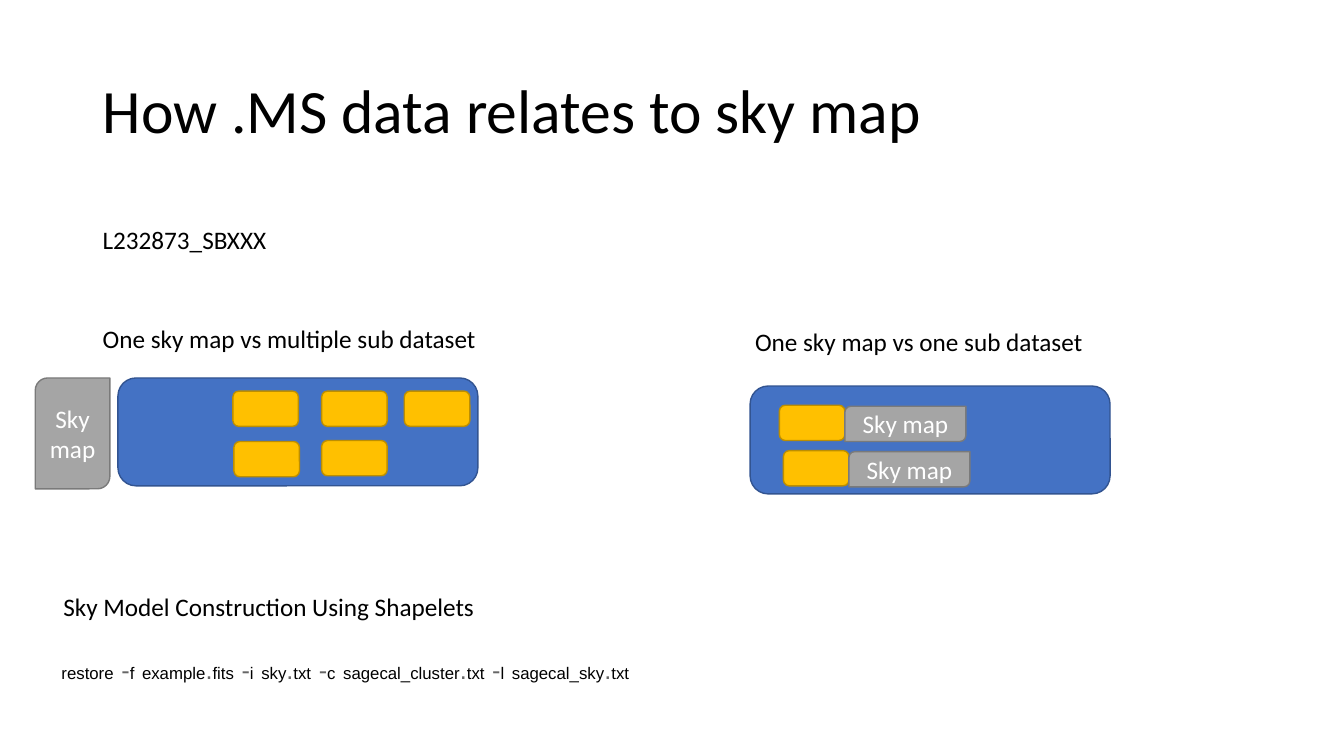
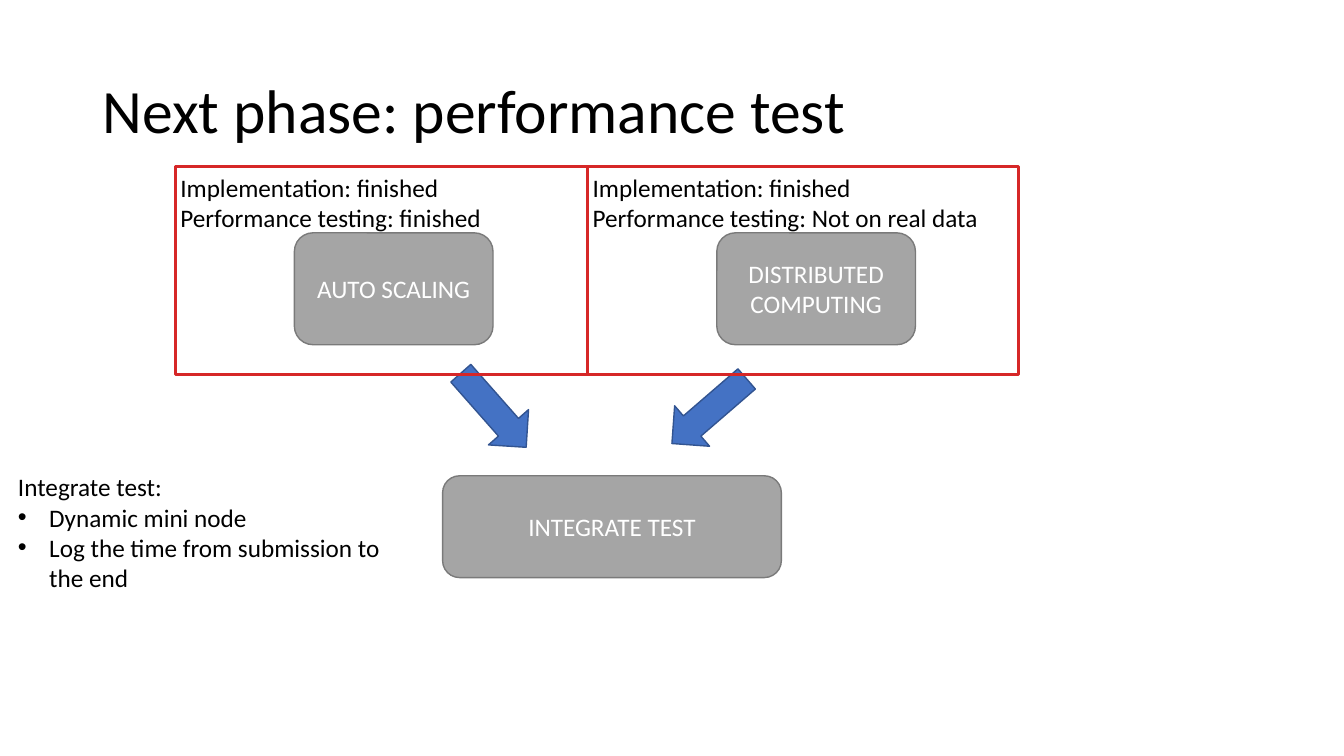
from itertools import groupby

from lxml import etree
from pptx import Presentation
from pptx.dml.color import RGBColor
from pptx.enum.shapes import MSO_SHAPE
from pptx.enum.text import MSO_ANCHOR, MSO_AUTO_SIZE, PP_ALIGN
from pptx.oxml.ns import qn
from pptx.util import Inches, Pt

ROUNDED = MSO_SHAPE.ROUNDED_RECTANGLE
DIAGONAL = MSO_SHAPE.ROUND_2_DIAG_RECTANGLE
PROCESS = MSO_SHAPE.FLOWCHART_ALTERNATE_PROCESS
ARROW = MSO_SHAPE.DOWN_ARROW
RECTANGLE = MSO_SHAPE.RECTANGLE
MIDDLE = MSO_ANCHOR.MIDDLE
TOP = MSO_ANCHOR.TOP
CENTER = PP_ALIGN.CENTER
FIT_TEXT = MSO_AUTO_SIZE.SHAPE_TO_FIT_TEXT

BLACK = RGBColor(0x00, 0x00, 0x00)
WHITE = RGBColor(0xFF, 0xFF, 0xFF)
DARK_GRAY = RGBColor(0x40, 0x40, 0x40)
MID_GRAY = RGBColor(0x66, 0x66, 0x66)
RED = RGBColor(0xD6, 0x27, 0x28)

# Fill and outline pairs
BLUE = (RGBColor(0x44, 0x72, 0xC4), RGBColor(0x32, 0x54, 0x91))
GOLD = (RGBColor(0xFF, 0xC0, 0x00), RGBColor(0xBD, 0x8E, 0x00))
GRAY = (RGBColor(0xA5, 0xA5, 0xA5), RGBColor(0x7A, 0x7A, 0x7A))
RED_FRAME = (None, RED)

BODY_FONT = "Calibri"
BODY_SIZE = 18
TITLE_SIZE = 44
TITLE_AREA = (0.92, 0.4, 11.5, 1.45)

# Command line: kind of character -> font, size, colour
COMMAND_STYLES = {
    "word": ("Arial", 12, BLACK),
    "mark": ("Arial", 18, MID_GRAY),
    "space": ("Noto Sans Mono", 9, DARK_GRAY),
}
COMMAND = "restore -f example.fits -i sky.txt -c sagecal_cluster.txt -l sagecal_sky.txt"
COMMAND_AREA = (0.61, 6.39, 12.11, 0.5)

# Slide 1
MAP_TITLE = "How .MS data relates to sky map"
MAP_LABELS = [  # text, area, wraps
    ("L232873_SBXXX", (0.92, 2.18, 1.84, 0.4), False),
    ("One sky map vs multiple sub dataset", (0.92, 3.16, 4.11, 0.4), True),
    ("One sky map vs one sub dataset", (7.39, 3.19, 3.49, 0.4), False),
    ("Sky Model Construction Using Shapelets", (0.53, 5.82, 4.46, 0.4), True),
]
SKY_MAP = "Sky map"
SHARED_MAP_AREA = (0.35, 3.75, 0.74, 1.1)
DATASET_SIZE = (3.57, 1.07)
DATASET_CORNERS = [(1.17, 3.75), (7.44, 3.83)]
SUBSET_SIZE = (0.65, 0.35)
SUBSET_CORNERS = [(4.01, 3.88), (3.19, 4.37), (3.19, 3.88), (2.32, 4.38), (2.31, 3.88)]
PAIR_CORNERS = [(7.73, 4.02), (7.77, 4.47)]
PAIR_MAP_SIZE = (1.2, 0.35)
PAIR_MAP_DROP = 0.01

# Slide 2
TEST_TITLE = "Next phase: performance test"
STEPS = [
    ("AUTO SCALING", (2.92, 2.31, 1.97, 1.11)),
    ("DISTRIBUTED COMPUTING", (7.11, 2.31, 1.97, 1.11)),
    ("INTEGRATE TEST", (4.39, 4.72, 3.36, 1.01)),
]
ARROW_SIZE = (0.53, 0.98)
ARROWS = [((4.63, 3.58), 318.6), ((6.77, 3.59), 49.2)]  # corner, rotation
FRAME_LEFT, FRAME_TOP, FRAME_HEIGHT = 1.74, 1.65, 2.07
STATUSES = [  # frame width, text width, lines
    (4.09, 3.45, ["Implementation: finished", "Performance testing: finished"]),
    (4.27, 4.27, ["Implementation: finished", "Performance testing: Not on real data"]),
]
PLAN_HEADING = "Integrate test:"
PLAN_ITEMS = ["Dynamic mini node", "Log the time from submission to the end"]
PLAN_AREA = (0.08, 4.63, 4.09, 1.31)
BULLET_INDENT = 0.31


def lengths(area):
    """Turn numbers in inches into lengths."""
    return [Inches(value) for value in area]


def style_span(span, font, size, color):
    """Set the font, size and colour of one run."""
    span.font.name = font
    span.font.size = Pt(size)
    span.font.color.rgb = color


def style_text(frame, color, size=BODY_SIZE):
    """Format every run of a text frame in the body font."""
    for para in frame.paragraphs:
        for span in para.runs:
            style_span(span, BODY_FONT, size, color)


def add_text(page, lines, area, wraps=True, size=BODY_SIZE, anchor=TOP):
    """Add a black text box with one paragraph per line."""
    box = page.shapes.add_textbox(*lengths(area))
    frame = box.text_frame
    frame.text = "\n".join(lines)
    frame.word_wrap = wraps
    frame.vertical_anchor = anchor
    if anchor == TOP:
        frame.auto_size = FIT_TEXT
    style_text(frame, BLACK, size)
    return frame


def add_block(page, kind, area, colors, text="", line_width=1):
    """Add a preset shape with fill, outline and centred white text."""
    fill, outline = colors
    block = page.shapes.add_shape(kind, *lengths(area))
    block.shadow.inherit = False
    if fill is None:
        block.fill.background()
    else:
        block.fill.solid()
        block.fill.fore_color.rgb = fill
    block.line.color.rgb = outline
    block.line.width = Pt(line_width)
    if text:
        frame = block.text_frame
        frame.text = text
        frame.word_wrap = True
        frame.vertical_anchor = MIDDLE
        frame.paragraphs[0].alignment = CENTER
        style_text(frame, WHITE)
    return block


def add_bullet(para):
    """Give a paragraph a round bullet and a hanging indent."""
    settings = para._p.get_or_add_pPr()
    indent = Inches(BULLET_INDENT)
    settings.set("marL", str(indent))
    settings.set("indent", str(-indent))
    etree.SubElement(settings, qn("a:buFont")).set("typeface", "Arial")
    etree.SubElement(settings, qn("a:buChar")).set("char", "•")


def character_kind(character):
    """Name the command style that a character takes."""
    if character == " ":
        return "space"
    return "mark" if character in "-." else "word"


def add_command(page):
    """Add the command line, with one run per kind of character."""
    frame = add_text(page, [""], COMMAND_AREA, anchor=MIDDLE)
    frame.margin_left = frame.margin_right = 0
    frame.margin_top = frame.margin_bottom = 0
    for kind, characters in groupby(COMMAND, character_kind):
        span = frame.paragraphs[0].add_run()
        span.text = "".join(characters)
        style_span(span, *COMMAND_STYLES[kind])


def add_page(deck, title):
    """Add a blank page with the shared title style."""
    page = deck.slides.add_slide(deck.slide_layouts[6])
    frame = add_text(page, [title], TITLE_AREA, size=TITLE_SIZE, anchor=MIDDLE)
    frame.paragraphs[0].line_spacing = 0.9
    return page


def build_map_page(deck):
    """Show how data sets relate to sky maps."""
    page = add_page(deck, MAP_TITLE)
    for corner in DATASET_CORNERS:
        add_block(page, ROUNDED, corner + DATASET_SIZE, BLUE)
    for corner in SUBSET_CORNERS + PAIR_CORNERS:
        add_block(page, ROUNDED, corner + SUBSET_SIZE, GOLD)
    add_block(page, DIAGONAL, SHARED_MAP_AREA, GRAY, SKY_MAP)
    for left, top in PAIR_CORNERS:
        map_corner = (left + SUBSET_SIZE[0], top + PAIR_MAP_DROP)
        add_block(page, DIAGONAL, map_corner + PAIR_MAP_SIZE, GRAY, SKY_MAP)
    for text, area, wraps in MAP_LABELS:
        add_text(page, [text], area, wraps)
    add_command(page)


def build_test_page(deck):
    """Show the steps and status of the performance test."""
    page = add_page(deck, TEST_TITLE)
    for text, area in STEPS:
        add_block(page, PROCESS, area, GRAY, text)
    for corner, rotation in ARROWS:
        add_block(page, ARROW, corner + ARROW_SIZE, BLUE).rotation = rotation
    plan = add_text(page, [PLAN_HEADING] + PLAN_ITEMS, PLAN_AREA)
    for para in plan.paragraphs[1:]:
        add_bullet(para)
    left = FRAME_LEFT
    for frame_width, text_width, lines in STATUSES:
        frame_area = (left, FRAME_TOP, frame_width, FRAME_HEIGHT)
        add_block(page, RECTANGLE, frame_area, RED_FRAME, line_width=2.25)
        add_text(page, lines, (left - 0.05, FRAME_TOP + 0.01, text_width, 0.71))
        left += frame_width


deck = Presentation()
deck.slide_width, deck.slide_height = Inches(13.33), Inches(7.5)
build_map_page(deck)
build_test_page(deck)
deck.save("out.pptx")
